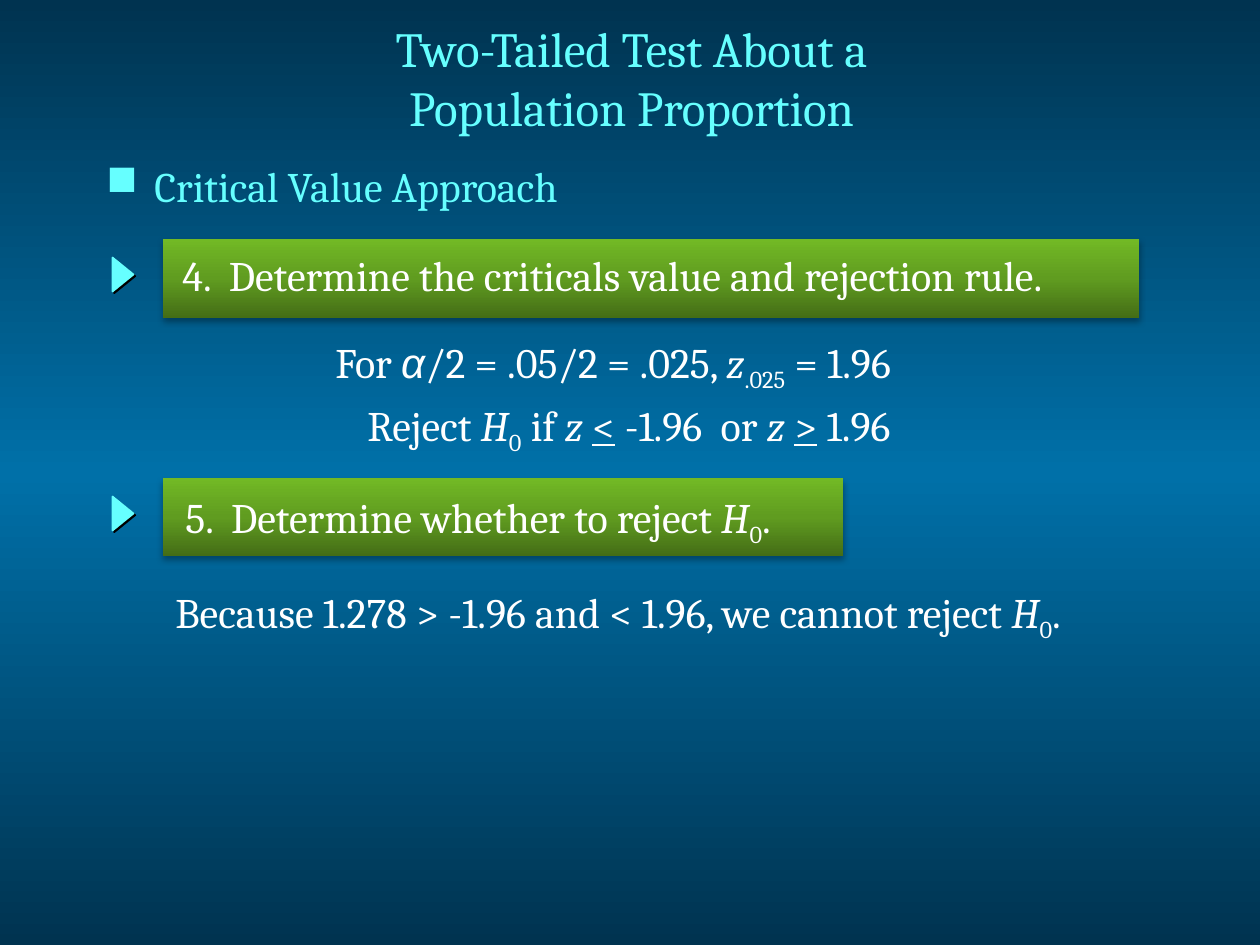
from lxml import etree
from pptx import Presentation
from pptx.dml.color import RGBColor
from pptx.enum import shapes, text
from pptx.oxml import ns
from pptx.util import Pt

PX = 914400 // 126
AQUA, WHITE = "66FFFF", "FFFFFF"
GREENS = ["446D16", "609C20", "72B925"]
BLUES = ["003350", "0070A8", "003350"]
H0 = [("H", "i"), ("0", "sub"), (".", "")]


def px(*lengths):
    return [n * PX for n in lengths]


def rgb(color):
    return RGBColor.from_string(color)


def add_xml(parent, tag, **attrs):
    el = etree.SubElement(parent, ns.qn(tag))
    for key, value in attrs.items():
        el.set(key, str(value))
    return el


def set_gradient(fill, element, colors):
    fill.gradient()
    fill.gradient_angle = 90
    stops = element.find(".//" + ns.qn("a:gsLst"))
    for stop in list(stops):
        stops.remove(stop)
    for i, color in enumerate(colors):
        stop = add_xml(stops, "a:gs", pos=i * 50000)
        add_xml(stop, "a:srgbClr", val=color)


def set_shadow(sp, alpha, blur, dist, angle):
    sp.shadow.inherit = False
    effects = sp._element.spPr.find(ns.qn("a:effectLst"))
    shadow = add_xml(effects, "a:outerShdw", blurRad=Pt(blur), dist=Pt(dist),
                     dir=angle * 60000, algn="ctr", rotWithShape=0)
    color = add_xml(shadow, "a:srgbClr", val="000000")
    add_xml(color, "a:alpha", val=alpha * 1000)


def add_text(s, box, paragraphs, size=24, color=WHITE, align=text.PP_ALIGN.LEFT,
             wrap=False):
    tf = s.shapes.add_textbox(*px(*box)).text_frame
    tf.word_wrap = wrap
    if not wrap:
        tf.auto_size = text.MSO_AUTO_SIZE.SHAPE_TO_FIT_TEXT
    for i, runs in enumerate(paragraphs):
        p = tf.add_paragraph() if i else tf.paragraphs[0]
        p.alignment = align
        p.font.size, p.font.name = Pt(size), "Cambria"
        p.font.color.rgb = rgb(color)
        for words, style in runs:
            r = p.add_run()
            r.text = words
            r.font.size, r.font.color.rgb = Pt(size), rgb(color)
            r.font.name = "Arial" if words == "α" else "Cambria"
            if style == "i":
                r.font.italic = True
            elif style == "u":
                r.font.underline = True
            elif style == "sub":
                r.font._element.set("baseline", "-25000")
    return tf


def add_title(s, box, lines):
    tf = add_text(s, box, [[(line, "")] for line in lines], 28, AQUA,
                  text.PP_ALIGN.CENTER, True)
    tf.vertical_anchor = text.MSO_ANCHOR.MIDDLE


def add_heading(s, box, words):
    tf = add_text(s, box, [[(words, "")]], color=AQUA)
    pPr = tf.paragraphs[0]._p.get_or_add_pPr()
    pPr.set("marL", str(48 * PX))
    pPr.set("indent", str(-48 * PX))
    bullet = etree.Element(ns.qn("a:buChar"), char="■")
    pPr.insert(0, bullet)


def add_step(s, box, runs, inset, drop):
    left, top, width, height = box
    bar = s.shapes.add_shape(shapes.MSO_SHAPE.RECTANGLE, *px(*box))
    set_gradient(bar.fill, bar._element, GREENS)
    bar.line.fill.background()
    set_shadow(bar, 32, 3.5, 2.2, 90)

    marker = s.shapes.add_shape(shapes.MSO_SHAPE.ISOSCELES_TRIANGLE,
                                *px(left - 57, top + 25, 34, 21))
    marker.rotation = 90
    marker.fill.solid()
    marker.fill.fore_color.rgb = rgb(AQUA)
    marker.line.color.rgb = rgb(AQUA)
    marker.line.width = Pt(1)
    set_shadow(marker, 100, 0, 1.4, 45)

    add_text(s, (left + inset, top + drop, width - inset, 63), [runs])


prs = Presentation()
prs.slide_width, prs.slide_height = px(1260, 945)
s = prs.slides.add_slide(prs.slide_layouts[6])
set_gradient(s.background.fill, s._element, BLUES)

add_title(s, (96, 29, 1071, 97), ["Two-Tailed Test About a", "Population Proportion"])
add_heading(s, (94, 154, 530, 63), "Critical Value Approach")
add_step(s, (163, 239, 976, 79),
         [("4.  Determine the criticals value and rejection rule.", "")], 7, 4)
add_text(s, (323, 330, 645, 63), [[
    ("For ", ""), ("α", "i"), ("/2 = .05/2 = .025, ", ""), ("z", "i"),
    (".025", "sub"), (" = 1.96", "")]])
add_text(s, (355, 393, 602, 63), [[
    ("Reject ", ""), *H0[:2], (" if ", ""), ("z ", "i"), ("<", "u"),
    (" -1.96  or ", ""), ("z ", "i"), (">", "u"), (" 1.96", "")]])
add_step(s, (163, 478, 680, 78),
         [("5.  Determine whether to reject ", ""), *H0], 10, 7)
add_text(s, (163, 580, 1003, 63), [[
    ("Because 1.278 > -1.96 and < 1.96, we cannot reject ", ""), *H0]])

prs.save("out.pptx")
